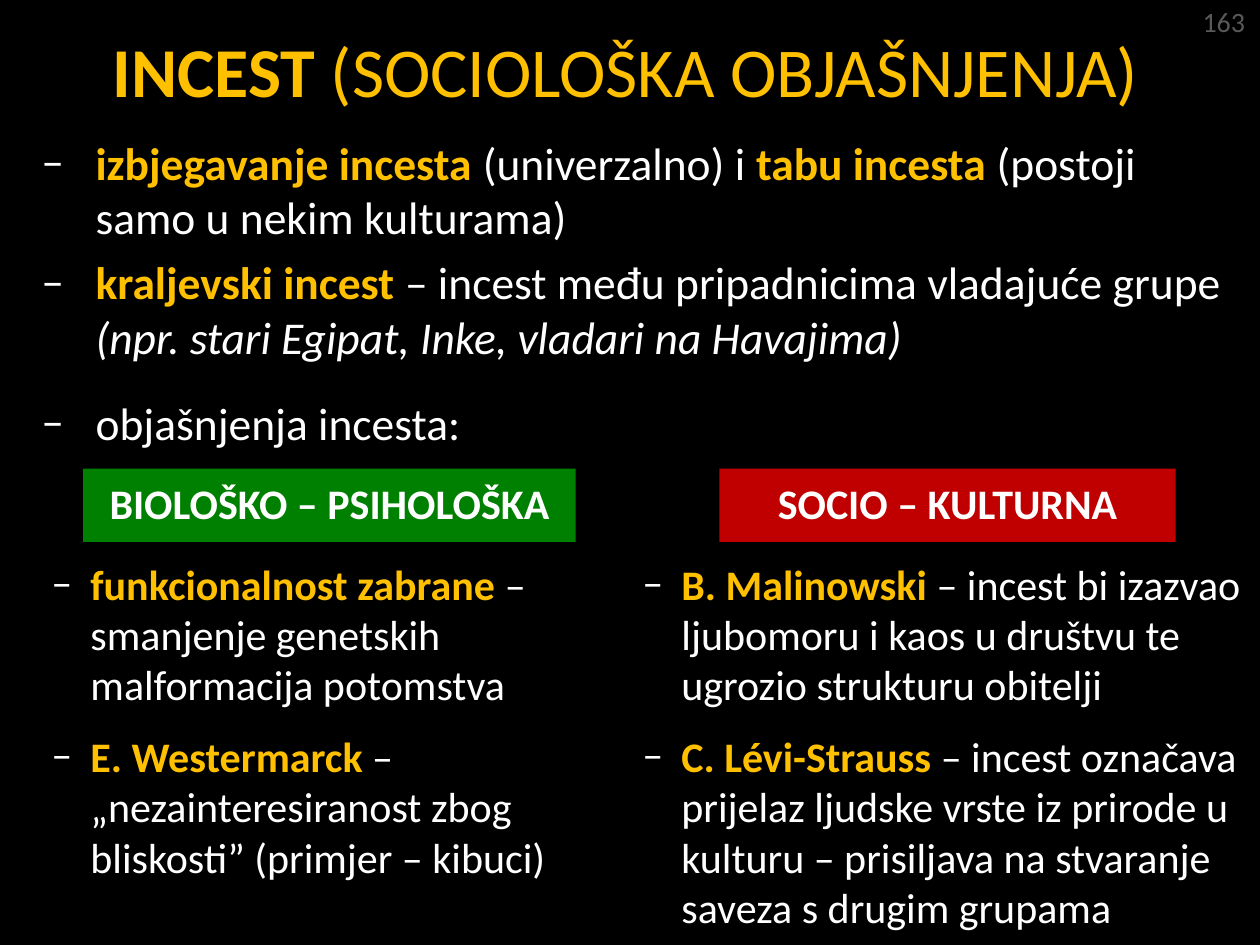
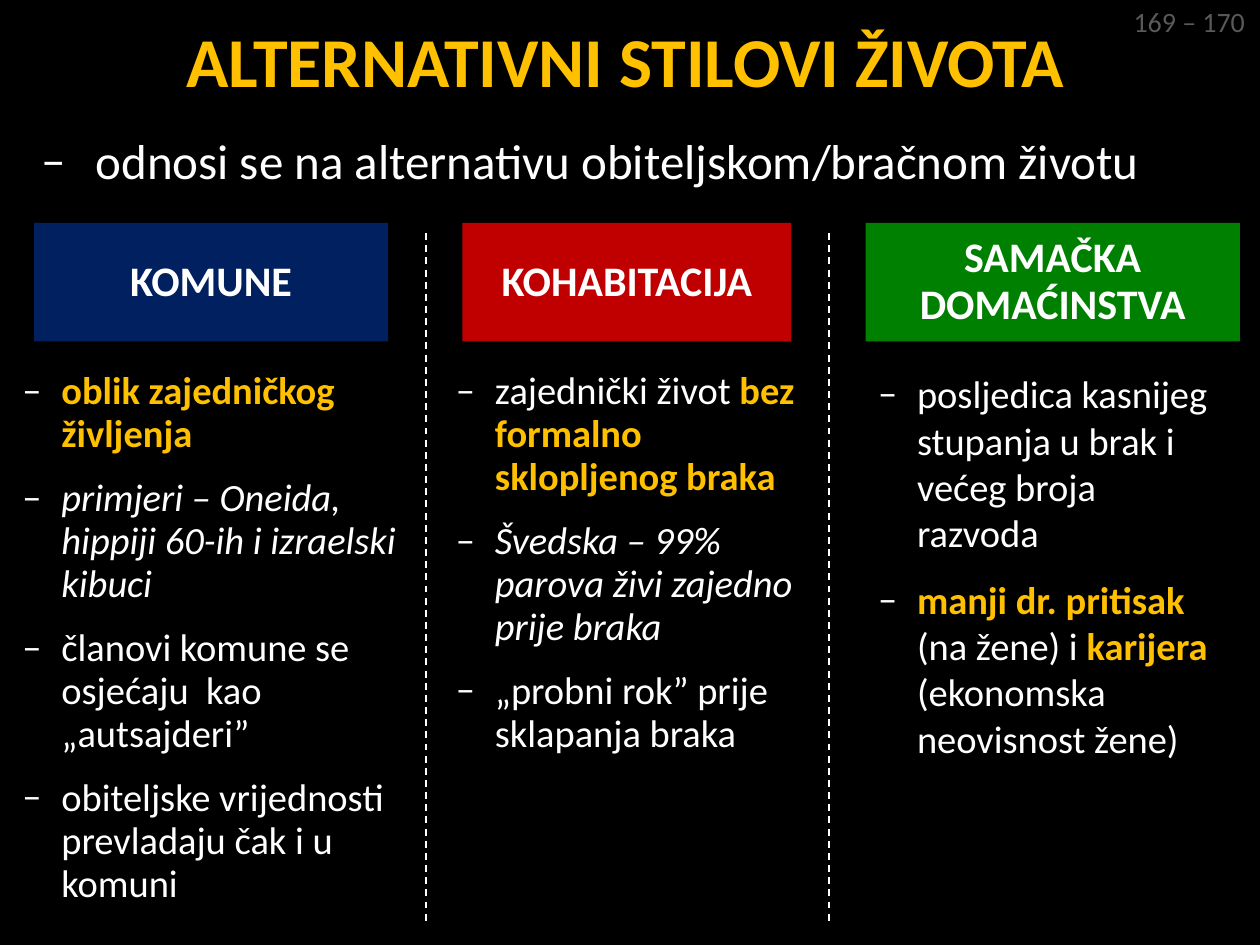
from lxml import etree
from pptx import Presentation
from pptx.dml.color import RGBColor
from pptx.enum.dml import MSO_LINE
from pptx.enum.shapes import MSO_CONNECTOR, MSO_SHAPE
from pptx.enum.text import MSO_ANCHOR, MSO_AUTO_SIZE, PP_ALIGN
from pptx.oxml.ns import qn
from pptx.util import Inches, Pt

STRAIGHT, RECTANGLE, DASH = MSO_CONNECTOR.STRAIGHT, MSO_SHAPE.RECTANGLE, MSO_LINE.DASH
CENTER, RIGHT = PP_ALIGN.CENTER, PP_ALIGN.RIGHT
MIDDLE, NO_FIT = MSO_ANCHOR.MIDDLE, MSO_AUTO_SIZE.NONE

# The slide is a grid of 100 columns by 75 rows.
COLUMNS, ROWS = 100, 75
CELL = Inches(0.1)
TITLE_ONLY = 5
FONT = "Calibri"
TIGHT = 0.93
BODY_INDENT, COLUMN_INDENT = 4.3, 3.1
COLORS = {
    "background": "000000",
    "text": "FFFFFF",
    "key": "FFC000",
    "page": "595959",
    "green": "008000",
    "red": "C00000",
    "navy": "002060",
}


def color(name):
    return RGBColor.from_string(COLORS[name])


def grid(*cells):
    return [round(cell * CELL) for cell in cells]


def key(text):
    return text, "key"


def italic(text):
    return text, "italic"


def style_font(font, size, color_name, bold=None):
    font.name = FONT
    font.size = Pt(size)
    font.color.rgb = color(color_name)
    font.bold = bold


def add_runs(paragraph, pieces):
    """Add plain strings, and (text, style) pairs for key words and italics."""
    for piece in pieces:
        text, style = (piece, "plain") if isinstance(piece, str) else piece
        run = paragraph.add_run()
        run.text = text
        if style == "key":
            run.font.bold = True
            run.font.color.rgb = color("key")
        elif style == "italic":
            run.font.italic = True


def add_dash_bullet(paragraph, indent):
    properties = paragraph._p.get_or_add_pPr()
    properties.set("marL", str(indent))
    properties.set("indent", str(-indent))
    bullet_color = etree.SubElement(properties, qn("a:buClr"))
    etree.SubElement(bullet_color, qn("a:srgbClr")).set("val", COLORS["text"])
    etree.SubElement(properties, qn("a:buFont")).set("typeface", FONT)
    etree.SubElement(properties, qn("a:buChar")).set("char", "–")


def add_slide(presentation, title_pieces, title_top, pages, pages_width):
    layout = presentation.slide_layouts[TITLE_ONLY]
    slide = presentation.slides.add_slide(layout)
    title = slide.shapes.title
    title.left, title.top, title.width, title.height = grid(0.8, title_top, 97.7, 7.8)
    frame = title.text_frame
    frame.auto_size = NO_FIT
    frame.vertical_anchor = MIDDLE
    paragraph = frame.paragraphs[0]
    paragraph.alignment = CENTER
    style_font(paragraph.font, 40, "key")
    add_runs(paragraph, title_pieces)
    add_page_reference(slide, pages, pages_width)
    return slide


def add_page_reference(slide, pages, width):
    box = slide.shapes.add_textbox(*grid(99.8 - width, -0.1, width, 3.7))
    box.text_frame.word_wrap = False
    paragraph = box.text_frame.paragraphs[0]
    paragraph.text = pages
    paragraph.alignment = RIGHT
    style_font(paragraph.font, 16, "page")


def add_bullets(slide, area, size, indent, items, spaces, line_spacing=None):
    """Add a dash list; spaces holds the points before each item."""
    frame = slide.shapes.add_textbox(*grid(*area)).text_frame
    frame.word_wrap = True
    for index, (pieces, space) in enumerate(zip(items, spaces)):
        paragraph = frame.add_paragraph() if index else frame.paragraphs[0]
        paragraph.space_before = Pt(space)
        paragraph.line_spacing = line_spacing
        add_dash_bullet(paragraph, *grid(indent))
        style_font(paragraph.font, size, "text")
        add_runs(paragraph, pieces)


def add_heading(slide, area, text, fill):
    shape = slide.shapes.add_shape(RECTANGLE, *grid(*area))
    shape.shadow.inherit = False
    shape.fill.solid()
    shape.fill.fore_color.rgb = color(fill)
    shape.line.fill.background()
    frame = shape.text_frame
    frame.word_wrap = True
    frame.vertical_anchor = MIDDLE
    paragraph = frame.paragraphs[0]
    paragraph.text = text
    paragraph.alignment = CENTER
    paragraph.line_spacing = TIGHT
    style_font(paragraph.font, 24, "text", bold=True)


def add_divider(slide, column, top, bottom):
    line = slide.shapes.add_connector(STRAIGHT, *grid(column, top, column, bottom))
    line.line.color.rgb = color("text")
    line.line.width = Pt(1)
    line.line.dash_style = DASH
    etree.SubElement(line._element.spPr, qn("a:effectLst"))


def add_incest_slide(presentation):
    slide = add_slide(presentation, [key("INCEST "), "(SOCIOLOŠKA OBJAŠNJENJA)"], 1.6, "163", 5.4)
    add_bullets(slide, (2.3, 10.2, 96.1, 63.3), 26, BODY_INDENT, [
        [key("izbjegavanje incesta "), "(univerzalno) i ", key("tabu incesta "),
         "(postoji samo u nekim kulturama)"],
        [key("kraljevski incest "), "– incest među pripadnicima vladajuće grupe ",
         italic("(npr. stari Egipat, Inke, vladari na Havajima)")],
        ["objašnjenja incesta:"],
    ], (6, 6, 18))

    explanations = [
        ("BIOLOŠKO – PSIHOLOŠKA", "green", (6.6, 39.1), (3.1, 46.1), (12, 12), [
            [key("funkcionalnost zabrane "), "– smanjenje genetskih malformacija potomstva"],
            [key("E. Westermarck "), "– „nezainteresiranost zbog bliskosti” (primjer – kibuci)"],
        ]),
        ("SOCIO – KULTURNA", "red", (57.1, 36.2), (50, 49.6), (6, 12), [
            [key("B. Malinowski "),
             "– incest bi izazvao ljubomoru i kaos u društvu te ugrozio strukturu obitelji"],
            [key("C. Lévi-Strauss "),
             "– incest označava prijelaz ljudske vrste iz prirode u kulturu"
             " – prisiljava na stvaranje saveza s drugim grupama"],
        ]),
    ]
    for heading, fill, (left, width), (list_left, list_width), spaces, items in explanations:
        add_heading(slide, (left, 37.2, width, 5.8), heading, fill)
        add_bullets(slide, (list_left, 43.8, list_width, 31), 24, COLUMN_INDENT, items, spaces)


def add_lifestyles_slide(presentation):
    slide = add_slide(presentation, [key("ALTERNATIVNI STILOVI ŽIVOTA")], 0.8, "169 – 170", 11)
    add_bullets(slide, (2.3, 9.9, 96.1, 63.3), 28, BODY_INDENT,
                [["odnosi se na alternativu obiteljskom/bračnom životu"]], (12,))

    lifestyles = [
        ("KOMUNE", "navy", (2.7, 28.1), (0.8, 32), TIGHT, [
            [key("oblik zajedničkog življenja")],
            [italic("primjeri – Oneida, hippiji 60-ih i izraelski kibuci")],
            ["članovi komune se osjećaju  kao „autsajderi”"],
            ["obiteljske vrijednosti prevladaju čak i u komuni"],
        ]),
        ("KOHABITACIJA", "red", (36.7, 26.1), (35.2, 30.5), TIGHT, [
            ["zajednički život ", key("bez formalno sklopljenog braka")],
            [italic("Švedska – 99% parova živi zajedno prije braka")],
            ["„probni rok” prije sklapanja braka"],
        ]),
        ("SAMAČKA DOMAĆINSTVA", "green", (68.7, 29.7), (68.7, 28.9), None, [
            ["posljedica kasnijeg stupanja u brak i većeg broja razvoda"],
            [key("manji dr. pritisak "), "(na žene) i ", key("karijera "),
             "(ekonomska neovisnost žene)"],
        ]),
    ]
    for heading, fill, (left, width), (list_left, list_width), spacing, items in lifestyles:
        add_heading(slide, (left, 17.7, width, 9.4), heading, fill)
        add_bullets(slide, (list_left, 28.9, list_width, 43.9), 22, COLUMN_INDENT,
                    items, [12] * len(items), spacing)
    for column in (33.8, 65.8):
        add_divider(slide, column, 18.5, 73.2)


def main():
    presentation = Presentation()
    presentation.slide_width, presentation.slide_height = grid(COLUMNS, ROWS)
    background = presentation.slide_master.background.fill
    background.solid()
    background.fore_color.rgb = color("background")
    add_incest_slide(presentation)
    add_lifestyles_slide(presentation)
    presentation.save("out.pptx")


if __name__ == "__main__":
    main()
